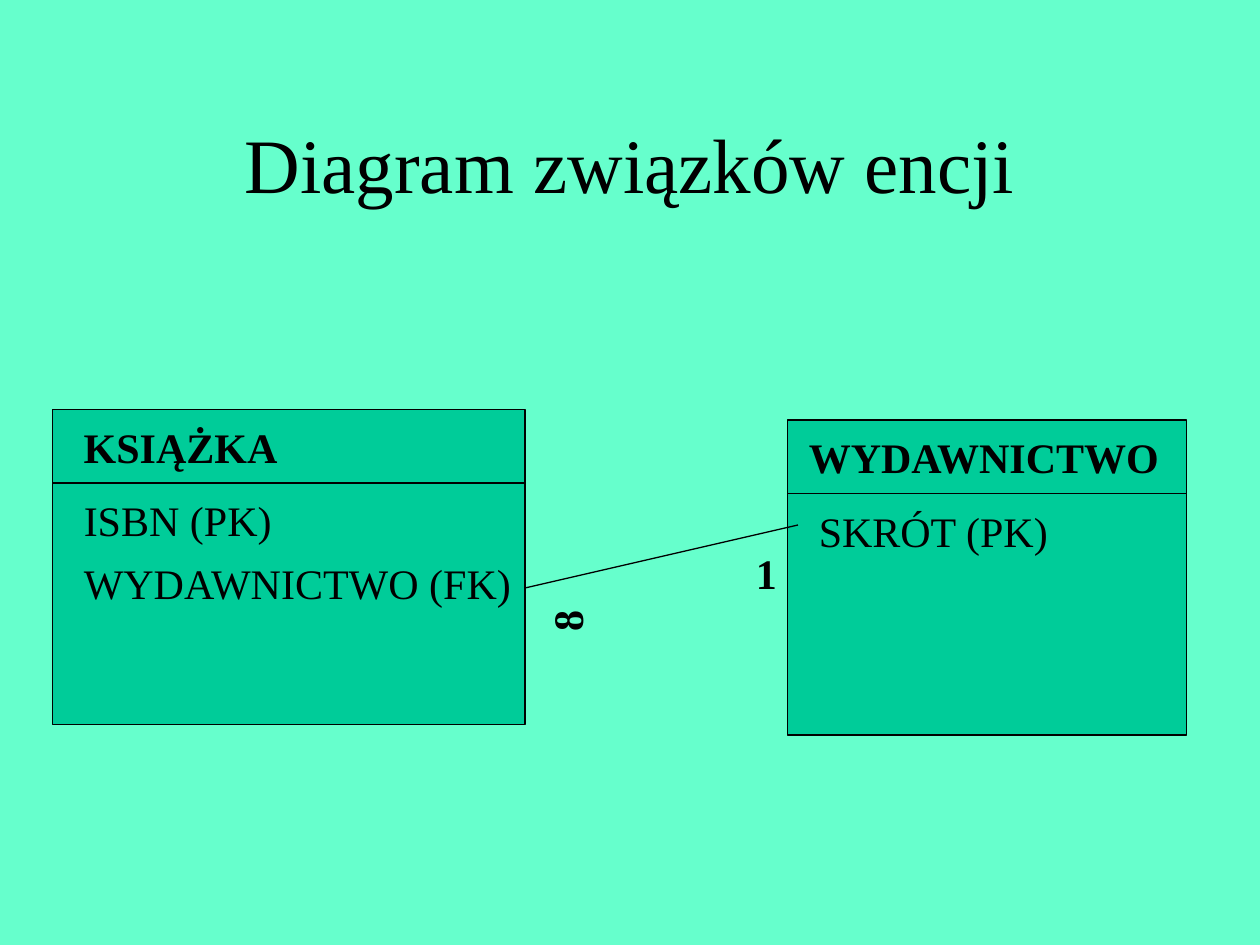
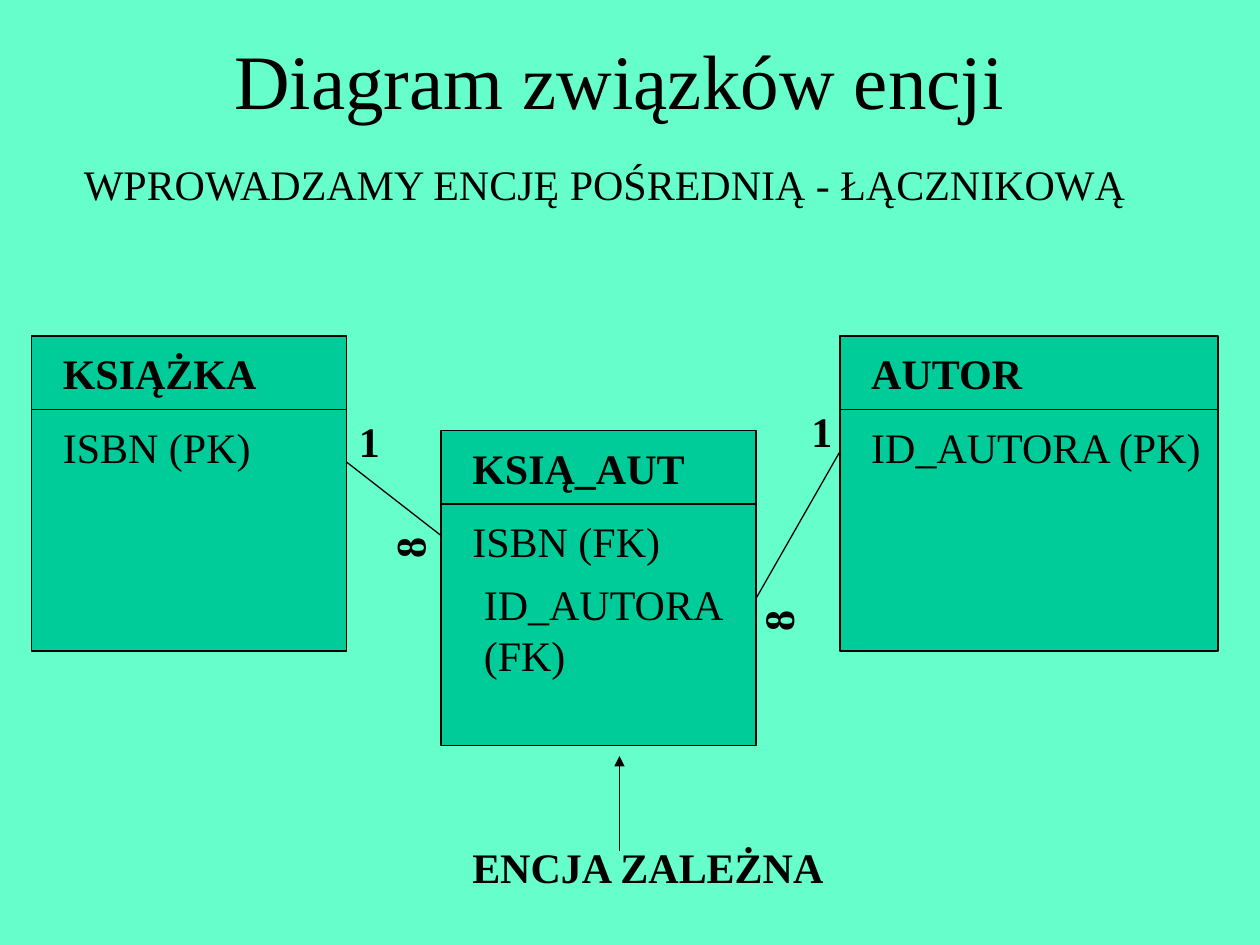
from lxml import etree
from pptx import Presentation
from pptx.dml.color import RGBColor
from pptx.enum.shapes import MSO_CONNECTOR, MSO_SHAPE
from pptx.enum.text import MSO_ANCHOR, MSO_AUTO_SIZE, PP_ALIGN
from pptx.oxml.ns import qn
from pptx.util import Inches, Pt

RECT, STRAIGHT = MSO_SHAPE.RECTANGLE, MSO_CONNECTOR.STRAIGHT
LEFT, CENTER = PP_ALIGN.LEFT, PP_ALIGN.CENTER
TOP, MIDDLE = MSO_ANCHOR.TOP, MSO_ANCHOR.MIDDLE
FIT_SHAPE = MSO_AUTO_SIZE.SHAPE_TO_FIT_TEXT

COLORS = {"bg": "66FFCC", "entity": "00CC99", "ink": "000000"}
FONT = "Times New Roman"
COLS, ROWS = 120, 90
CELL = Inches(10) // COLS
LINE_H = 6
HEAD_H = 7
PAD_X, PAD_Y = 1.8, 0.55


def cells(*values):
    """Convert grid cells to slide lengths."""
    return [round(v * CELL) for v in values]


def rgb(name):
    """Return the named colour."""
    return RGBColor.from_string(COLORS[name])


def add_text(s, text, x, y, w, h=LINE_H, size=24, bold=False, align=LEFT,
             anchor=TOP, wrap=False, rotation=0):
    """Add a text box at a grid position."""
    sp = s.shapes.add_textbox(*cells(x, y, w, h))
    sp.rotation = rotation
    tf = sp.text_frame
    tf.word_wrap = wrap
    tf.vertical_anchor = anchor
    if not wrap:
        tf.auto_size = FIT_SHAPE
    p = tf.paragraphs[0]
    p.text = text
    p.alignment = align
    for r in p.runs:
        r.font.name, r.font.size, r.font.bold = FONT, Pt(size), bold
        r.font.color.rgb = rgb("ink")
    return sp


def add_line(s, start, end, arrow=False):
    """Draw a thin straight line between two grid points."""
    cxn = s.shapes.add_connector(STRAIGHT, *cells(*start, *end))
    cxn.line.color.rgb = rgb("ink")
    cxn.line.width = Pt(0.75)
    if arrow:
        ln = cxn.line._get_or_add_ln()
        etree.SubElement(ln, qn("a:tailEnd"), type="triangle")
    etree.SubElement(cxn._element.spPr, qn("a:effectLst"))


def add_entity(s, box, name, name_w, fields, name_pad=PAD_X):
    """Draw an entity: a box with its name, a rule and (text, width, indent) fields."""
    x, y, w, h = box
    sp = s.shapes.add_shape(RECT, *cells(x, y, w, h))
    sp.shadow.inherit = False
    sp.fill.solid()
    sp.fill.fore_color.rgb = rgb("entity")
    sp.line.color.rgb = rgb("ink")
    sp.line.width = Pt(0.75)
    add_line(s, (x, y + HEAD_H), (x + w, y + HEAD_H))
    add_text(s, name, x + name_pad, y + PAD_Y, name_w, bold=True)
    for i, (text, text_w, indent) in enumerate(fields):
        lines = text.count("\n") + 1
        add_text(s, text, x + PAD_X + indent, y + HEAD_H + PAD_Y + i * LINE_H,
                 text_w, LINE_H + (lines - 1) * 4.8)


def add_relation(s, start, end, one, many):
    """Join two entities and mark the one and many ends."""
    add_line(s, start, end)
    add_text(s, "1", *one, 4.3, bold=True)
    add_text(s, "8", *many, 4.3, bold=True, rotation=270)


def new_slide(prs, title_x, title_y):
    """Add a slide with the shared background and title."""
    s = prs.slides.add_slide(prs.slide_layouts[6])
    s.background.fill.solid()
    s.background.fill.fore_color.rgb = rgb("bg")
    add_text(s, "Diagram związków encji", title_x, title_y, 102, 15, size=44,
             align=CENTER, anchor=MIDDLE, wrap=True)
    return s


def direct_slide(prs):
    """Build the slide with two directly related entities."""
    s = new_slide(prs, 9, 8)
    add_entity(s, (5, 39, 45, 30), "KSIĄŻKA", 20.9,
               [("ISBN (PK)", 20.3, 0), ("WYDAWNICTWO (FK)", 43.3, 0)])
    add_entity(s, (75, 40, 38, 30), "WYDAWNICTWO", 36.1,
               [("SKRÓT (PK)", 24.2, 0)], name_pad=0.85)
    add_relation(s, (50, 56), (76, 50), one=(70.8, 51.6), many=(51.8, 56.2))


def linking_slide(prs):
    """Build the slide with a linking entity between two others."""
    s = new_slide(prs, 8, 0)
    add_text(s, "WPROWADZAMY ENCJĘ POŚREDNIĄ - ŁĄCZNIKOWĄ", 6.8, 14.5, 102.1)
    add_entity(s, (3, 32, 30, 30), "KSIĄŻKA", 20.9, [("ISBN (PK)", 20.3, 0)])
    add_entity(s, (80, 32, 36, 30), "AUTOR", 16.8, [("ID_AUTORA (PK)", 34.1, 0)])
    add_entity(s, (42, 41, 30, 30), "KSIĄ_AUT", 22.6,
               [("ISBN (FK)", 20.3, 0), ("ID_AUTORA\n(FK)", 25.2, 1.1)])
    add_relation(s, (33, 44), (42, 51), one=(33, 39), many=(36.8, 49.2))
    add_relation(s, (72, 57), (80, 43), one=(76.1, 38), many=(71.9, 56.2))
    add_text(s, "ENCJA ZALEŻNA", 43.8, 79.55, 36, bold=True)
    add_line(s, (59, 81), (59, 72), arrow=True)


def main():
    """Build and save the presentation."""
    prs = Presentation()
    prs.slide_width, prs.slide_height = cells(COLS, ROWS)
    direct_slide(prs)
    linking_slide(prs)
    prs.save("out.pptx")


if __name__ == "__main__":
    main()
